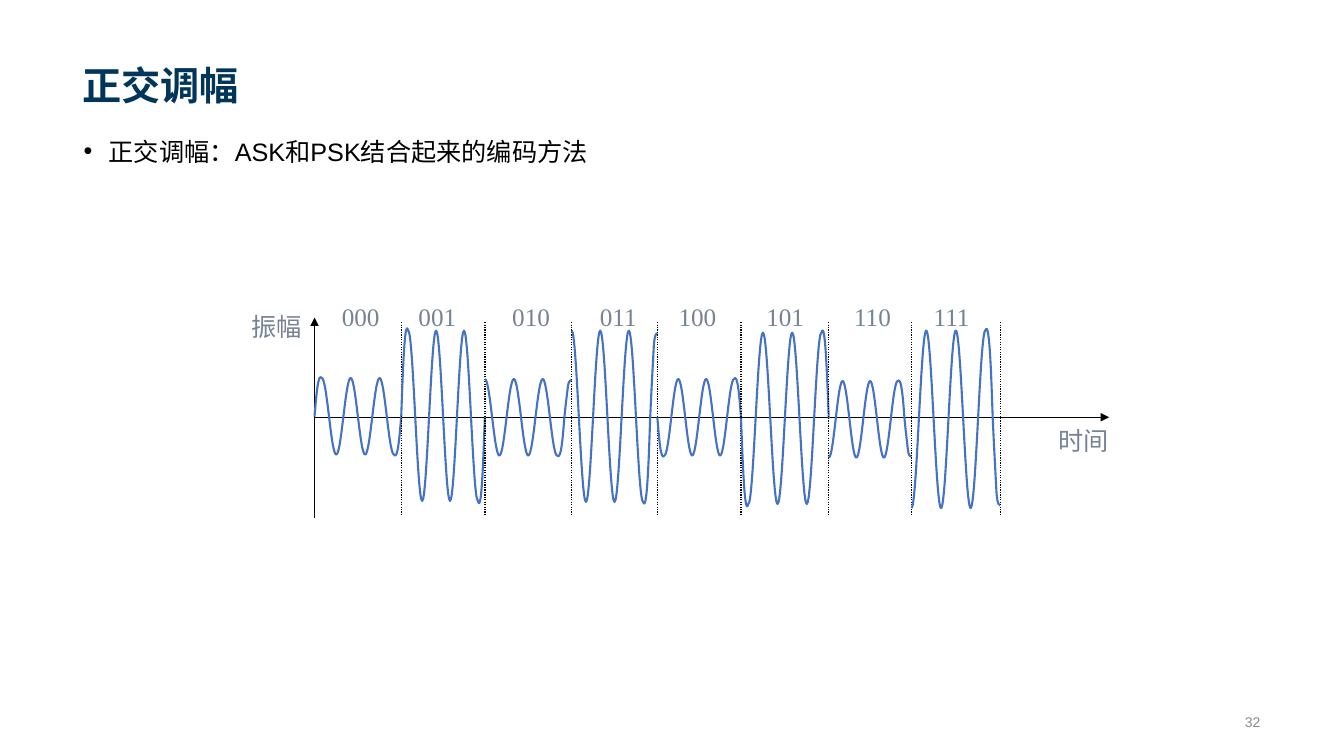
from lxml import etree
from pptx import Presentation
from pptx.dml.color import RGBColor
from pptx.enum.dml import MSO_LINE
from pptx.enum.shapes import MSO_CONNECTOR
from pptx.enum.text import MSO_ANCHOR, MSO_AUTO_SIZE, PP_ALIGN
from pptx.oxml.ns import qn
from pptx.util import Inches, Pt

STRAIGHT = MSO_CONNECTOR.STRAIGHT
DOTTED = MSO_LINE.ROUND_DOT
TOP, MIDDLE, BOTTOM = MSO_ANCHOR.TOP, MSO_ANCHOR.MIDDLE, MSO_ANCHOR.BOTTOM
LEFT, RIGHT = PP_ALIGN.LEFT, PP_ALIGN.RIGHT
GROW = MSO_AUTO_SIZE.SHAPE_TO_FIT_TEXT

THEME = {
    "title": {"size": 28, "color": "003659", "latin": "Arial", "bold": True},
    "body": {"size": 18, "color": "000000", "latin": "Arial", "bold": False},
    "number": {"size": 10, "color": "8C8C8C", "latin": "Arial", "bold": False},
    "axis": {"size": 18, "color": "768394", "latin": "Noto Sans CJK SC", "bold": False},
    "code": {"size": 18, "color": "768394", "latin": "Times New Roman", "bold": False},
    "east_asian": "Noto Sans CJK SC",
    "wave": "4472C4",
    "line": "000000",
    "wave_width": 1.5,
    "axis_width": 0.75,
    "divider_width": 0.88,
}

# The slide is a grid of 160 columns by 90 rows of square cells.
ROWS = 90
CELL = Inches(7.5) / ROWS

presentation = Presentation()
presentation.slide_width = Inches(13.33)
presentation.slide_height = Inches(7.5)
slide = presentation.slides.add_slide(presentation.slide_layouts[6])


def add_text(text, role, box, anchor=TOP, align=LEFT, label=False):
    """Write one paragraph in a grid box; a label has no margins and no wrap."""
    shape = slide.shapes.add_textbox(*[round(length * CELL) for length in box])
    frame = shape.text_frame
    frame.word_wrap = not label
    frame.vertical_anchor = anchor
    if label:
        frame.auto_size = GROW
        frame.margin_left = frame.margin_right = 0
        frame.margin_top = frame.margin_bottom = 0
    paragraph = frame.paragraphs[0]
    paragraph.alignment = align
    run = paragraph.add_run()
    run.text = text
    style = THEME[role]
    run.font.size = Pt(style["size"])
    run.font.bold = style["bold"]
    run.font.color.rgb = RGBColor.from_string(style["color"])
    run.font.name = style["latin"]
    east_asian = etree.SubElement(run.font._element, qn("a:ea"))
    east_asian.set("typeface", THEME["east_asian"])
    return paragraph


def add_line(start, end, width, dotted=False):
    """Draw a black grid line: dotted for a divider, else ending in an arrowhead."""
    ends = [round(length * CELL) for length in start + end]
    connector = slide.shapes.add_connector(STRAIGHT, *ends)
    connector.line.color.rgb = RGBColor.from_string(THEME["line"])
    connector.line.width = Pt(width)
    properties = connector._element.spPr
    if dotted:
        connector.line.dash_style = DOTTED
    else:
        outline = properties.find(qn("a:ln"))
        etree.SubElement(outline, qn("a:tailEnd")).set("type", "triangle")
    etree.SubElement(properties, qn("a:effectLst"))


# Heading, bullet and slide number
add_text("正交调幅", "title", (8.64, 1.68, 142.56, 11.76), anchor=BOTTOM)
bullet_paragraph = add_text(
    "正交调幅：ASK和PSK结合起来的编码方法", "body", (8.76, 14.9, 113.4, 9.6))
bullet_paragraph.line_spacing = 1.2
bullet_properties = bullet_paragraph._p.get_or_add_pPr()
bullet_properties.set("marL", str(Inches(0.25)))
bullet_properties.set("indent", str(-Inches(0.25)))
etree.SubElement(bullet_properties, qn("a:buFont")).set("typeface", "Arial")
etree.SubElement(bullet_properties, qn("a:buChar")).set("char", "•")
add_text("32", "number", (102, 84.12, 49.2, 3.6), anchor=MIDDLE, align=RIGHT)

# Axes
ORIGIN_COLUMN, ORIGIN_ROW = 37.44, 49.68
add_line((ORIGIN_COLUMN, 61.68), (ORIGIN_COLUMN, 37.8), THEME["axis_width"])
add_line((ORIGIN_COLUMN, ORIGIN_ROW), (132, ORIGIN_ROW), THEME["axis_width"])
add_text("振幅", "axis", (29.88, 37.08, 6, 3.6), label=True)
add_text("时间", "axis", (126, 50.64, 6, 3.6), label=True)

# Bezier points of three cycles: x in quarter cycles, y in amplitudes.
QUARTERS = 12
SINE_ENTRY = [(0, 0), (0.25, 0.56), (0.5, 1.16), (1, 1)]
SINE_EXIT = [(11.5, -1.16), (11.75, -0.56), (12, 0)]
COSINE_ENTRY = [(0, 1)]
COSINE_EXIT = [(10.6, -1.16), (10.85, -0.32), (11, 0),
               (11.17, 0.32), (11.4, 0.66), (11.5, 0.82),
               (11.65, 1), (11.95, 0.95), (12, 0.97)]
curves = []
for entry, exit_points in ((SINE_ENTRY, SINE_EXIT), (COSINE_ENTRY, COSINE_EXIT)):
    curve = list(entry)
    for half_cycle in range(5):
        x, y = curve[-1]
        curve += [(x + 0.72, y), (x + 1.28, -y), (x + 2, -y)]
    curves.append(curve + exit_points)

# Per symbol: end column, label column, peak row, trough row
SYMBOLS = (
    (47.76, 40.68, 45, 54.12),
    (57.72, 49.8, 39.36, 59.64),
    (68.04, 60.96, 45.12, 54.24),
    (78.24, 71.4, 39.36, 59.76),
    (88.2, 80.76, 45.12, 54.24),
    (98.64, 91.2, 39.6, 60),
    (108.48, 101.64, 45.36, 54.48),
    (119.04, 111.12, 39.36, 60.48),
)

start_column = ORIGIN_COLUMN
for symbol, (end_column, label_column, peak, trough) in enumerate(SYMBOLS):
    # The first bit inverts the wave, the second picks sine or cosine.
    sign = -1 if symbol >= 4 else 1
    curve = curves[symbol // 2 % 2]
    quarter = (end_column - start_column) / QUARTERS
    middle, amplitude = (peak + trough) / 2, sign * (trough - peak) / 2
    points = [(round((start_column + x * quarter) * CELL),
               round((middle - y * amplitude) * CELL)) for x, y in curve]
    builder = slide.shapes.build_freeform(*points[0])
    builder.add_line_segments(points[1:], close=False)
    wave = builder.convert_to_shape()
    segments = list(wave._element.iter(qn("a:lnTo")))
    for first in range(0, len(segments), 3):
        bezier = etree.Element(qn("a:cubicBezTo"))
        segments[first].addprevious(bezier)
        for segment in segments[first:first + 3]:
            bezier.append(segment[0])
            segment.getparent().remove(segment)
    wave.shadow.inherit = False
    wave.fill.background()
    wave.line.color.rgb = RGBColor.from_string(THEME["wave"])
    wave.line.width = Pt(THEME["wave_width"])

    add_line((end_column, 38.34), (end_column, 61.32),
             THEME["divider_width"], dotted=True)
    add_text(f"{symbol:03b}", "code", (label_column, 35.85, 4.56, 3.6), label=True)
    start_column = end_column

presentation.save("out.pptx")
